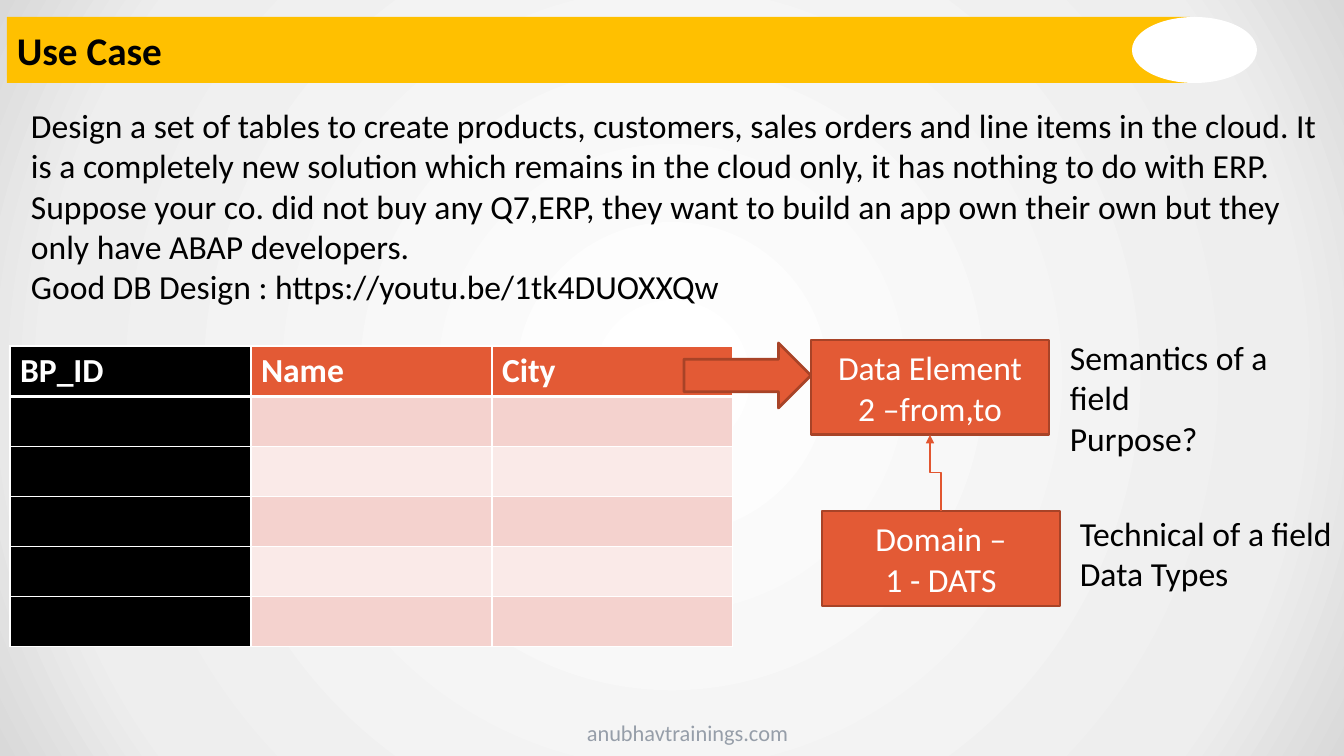
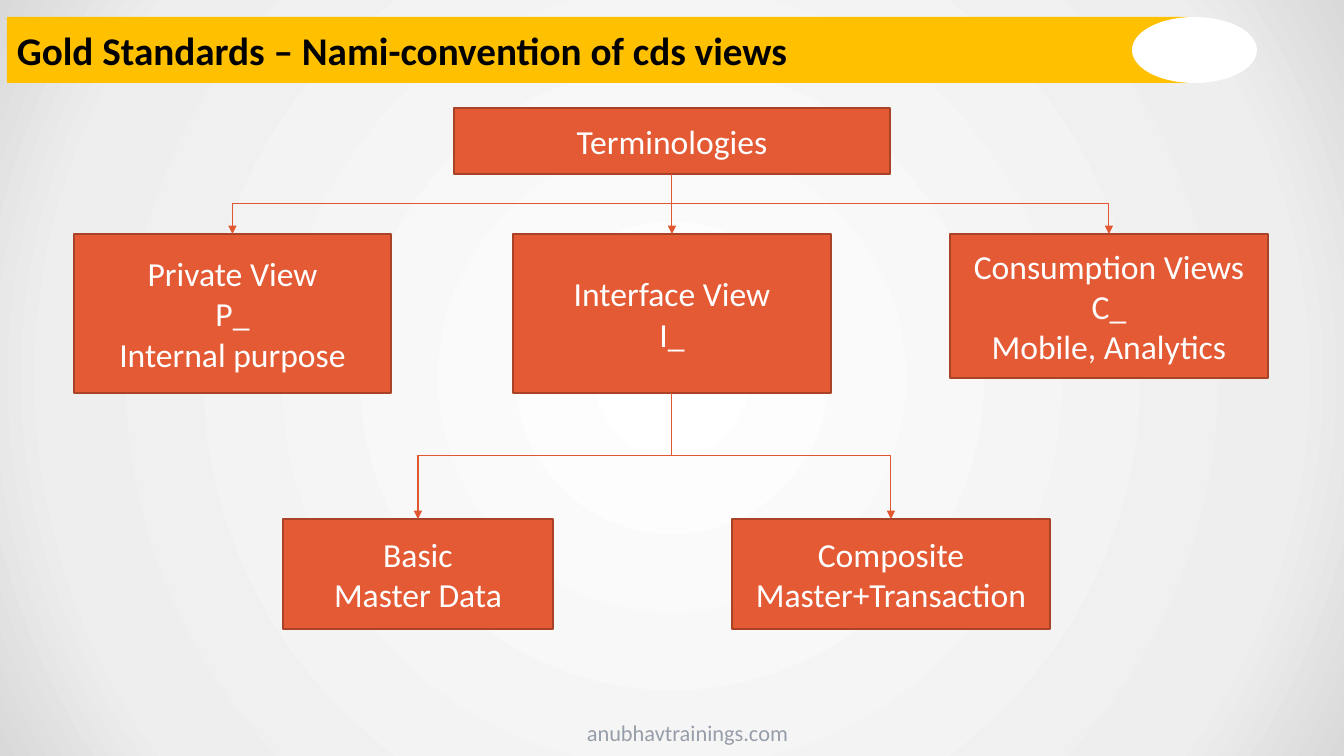
from pptx import Presentation
from pptx.dml.color import RGBColor
from pptx.enum.shapes import MSO_CONNECTOR, MSO_SHAPE
from pptx.enum.text import MSO_ANCHOR, PP_ALIGN
from pptx.oxml import parse_xml
from pptx.oxml.ns import nsdecls
from pptx.util import Pt
from lxml import etree

RECT, OVAL, ARROW = MSO_SHAPE.RECTANGLE, MSO_SHAPE.OVAL, MSO_SHAPE.RIGHT_ARROW
BENT, STRAIGHT = MSO_CONNECTOR.ELBOW, MSO_CONNECTOR.STRAIGHT
LEFT, CENTER = PP_ALIGN.LEFT, PP_ALIGN.CENTER
MIDDLE = MSO_ANCHOR.MIDDLE
TOP, BOTTOM = 0, 2
NS = nsdecls("a")


class Theme:
    font = "Calibri"
    gold = "FFC000"
    coral = "E35A35"
    rust = "A84327"
    wire = "E25630"
    black = "000000"
    white = "FFFFFF"
    gray = "969EA9"
    bands = ("F4D2CE", "FAEAE8")
    glow = ((0, "FFFFFF"), (81, "EEEEEE"), (100, "D9D9D9"))
    title = 28
    body = 24
    foot = 16


def px(*nums):
    return [round(n * 914400 / 100.8) for n in nums]


def write(frame, text, size, color, align=LEFT, bold=False):
    frame.text = text
    for para in frame.paragraphs:
        para.alignment = align
        for run in para.runs:
            run.font.name = Theme.font
            run.font.size = Pt(size)
            run.font.bold = bold
            run.font.color.rgb = RGBColor.from_string(color)


deck = Presentation()
deck.slide_width, deck.slide_height = px(1344, 756)

back = deck.slide_master.background.fill
back.gradient()
grad = deck.slide_master.element.find(".//{*}bgPr/{*}gradFill")
stops = "".join(
    f'<a:gs pos="{pos * 1000}"><a:srgbClr val="{color}"/></a:gs>'
    for pos, color in Theme.glow
)
grad.getparent().replace(grad, parse_xml(
    f'<a:gradFill {NS} rotWithShape="1"><a:gsLst>{stops}</a:gsLst>'
    '<a:path path="circle"><a:fillToRect l="50000" t="50000" r="50000" b="50000"/>'
    '</a:path></a:gradFill>'
))

titles = ("Use Case", "Gold Standards – Nami-convention of cds views")
slides = []
for title in titles:
    slide = deck.slides.add_slide(deck.slide_layouts[6])
    for kind, place, color in (
        (RECT, (7, 17, 1183, 66), Theme.gold),
        (OVAL, (1132, 17, 125, 66), Theme.white),
    ):
        shape = slide.shapes.add_shape(kind, *px(*place))
        shape.shadow.inherit = False
        shape.fill.solid()
        shape.fill.fore_color.rgb = RGBColor.from_string(color)
        shape.line.fill.background()
        if kind == RECT:
            shape.text_frame.vertical_anchor = MIDDLE
            write(shape.text_frame, title, Theme.title, Theme.black, bold=True)
    foot = slide.shapes.add_textbox(*px(577, 714, 334, 37))
    foot.text_frame.word_wrap = True
    write(foot.text_frame, "anubhavtrainings.com", Theme.foot, Theme.gray)
    slides.append(slide)
case, views = slides

notes = (
    ((21, 100, 1316, 214), True,
     "Design a set of tables to create products, customers, sales orders and line "
     "items in the cloud. It is a completely new solution which remains in the cloud "
     "only, it has nothing to do with ERP. Suppose your co. did not buy any Q7,ERP, "
     "they want to build an app own their own but they only have ABAP developers.\n"
     "Good DB Design : https://youtu.be/1tk4DUOXXQw"),
    ((1060, 332, 284, 92), False, "Semantics of a field\nPurpose?"),
    ((1070, 508, 274, 92), False, "Technical of a field\nData Types"),
)
for place, wrap, text in notes:
    note = case.shapes.add_textbox(*px(*place))
    note.text_frame.word_wrap = wrap
    write(note.text_frame, text, Theme.body, Theme.black)

heads = ("BP_ID", "Name", "City")
count = 6
table = case.shapes.add_table(count, len(heads), *px(10, 346, 723, 300)).table
for col in table.columns:
    col.width = px(241)[0]
for row in table.rows:
    row.height = px(50)[0]
for r in range(count):
    for c, head in enumerate(heads):
        cell = table.cell(r, c)
        props = cell._tc.get_or_add_tcPr()
        for side in "LRTB":
            thick = 3 if (r, side) in ((0, "B"), (1, "T")) else 1
            props.append(parse_xml(
                f'<a:ln{side} {NS} w="{Pt(thick)}"><a:solidFill>'
                f'<a:srgbClr val="{Theme.white}"/></a:solidFill></a:ln{side}>'
            ))
        color = Theme.coral if r == 0 else Theme.bands[(r - 1) % 2]
        cell.fill.solid()
        cell.fill.fore_color.rgb = RGBColor.from_string(Theme.black if c == 0 else color)
        if r == 0:
            write(cell.text_frame, head, Theme.body, Theme.white, bold=True)

nodes = (
    ("arrow", case, ARROW, (684, 343, 127, 65), ""),
    ("data", case, RECT, (811, 340, 238, 95), "Data Element\n2 –from,to"),
    ("domain", case, RECT, (822, 511, 238, 95), "Domain –\n1 - DATS"),
    ("private", views, RECT, (74, 234, 317, 159), "Private View\nP_\nInternal purpose"),
    ("inter", views, RECT, (513, 234, 318, 159), "Interface View\nI_"),
    ("consume", views, RECT, (950, 234, 318, 144),
     "Consumption Views\nC_\nMobile, Analytics"),
    ("terms", views, RECT, (454, 108, 436, 66), "Terminologies"),
    ("basic", views, RECT, (283, 519, 270, 110), "Basic\nMaster Data"),
    ("compose", views, RECT, (732, 519, 318, 110), "Composite\nMaster+Transaction"),
)
boxes = {}
for name, slide, kind, place, text in nodes:
    box = slide.shapes.add_shape(kind, *px(*place))
    box.shadow.inherit = False
    box.fill.solid()
    box.fill.fore_color.rgb = RGBColor.from_string(Theme.coral)
    box.line.color.rgb = RGBColor.from_string(Theme.rust)
    box.line.width = Pt(2)
    if text:
        box.text_frame.vertical_anchor = MIDDLE
        write(box.text_frame, text, Theme.body, Theme.white, CENTER)
    boxes[name] = box

links = (
    (case, "domain", TOP, "data", BOTTOM),
    (views, "terms", BOTTOM, "inter", TOP),
    (views, "terms", BOTTOM, "consume", TOP),
    (views, "terms", BOTTOM, "private", TOP),
    (views, "inter", BOTTOM, "basic", TOP),
    (views, "inter", BOTTOM, "compose", TOP),
)
for slide, start, out, stop, into in links:
    first, last = boxes[start], boxes[stop]
    x1, x2 = (b.left + b.width // 2 for b in (first, last))
    y1 = first.top + (first.height if out == BOTTOM else 0)
    y2 = last.top + (last.height if into == BOTTOM else 0)
    dx, dy = x2 - x1, y2 - y1
    line = slide.shapes.add_connector(BENT if dx else STRAIGHT, x1, y1, x2, y2)
    line.begin_connect(first, out)
    line.end_connect(last, into)
    line.line.color.rgb = RGBColor.from_string(Theme.wire)
    line.line.width = Pt(0.75)
    props = line.element.spPr
    if dx:
        line.width, line.height = abs(dy), abs(dx)
        line.left = (x1 + x2 - abs(dy)) // 2
        line.top = (y1 + y2 - abs(dx)) // 2
        frame = props.find("{*}xfrm")
        frame.set("rot", str((90 if dx < 0 < dy else 270) * 60000))
        frame.set("flipH", str(int(dx > 0 and dy > 0)))
        frame.set("flipV", str(int(dx < 0 and dy < 0)))
    props.find("{*}ln").append(parse_xml(f'<a:tailEnd {NS} type="triangle"/>'))
    etree.SubElement(props, props.find("{*}ln").tag.replace("}ln", "}effectLst"))

deck.save("out.pptx")
